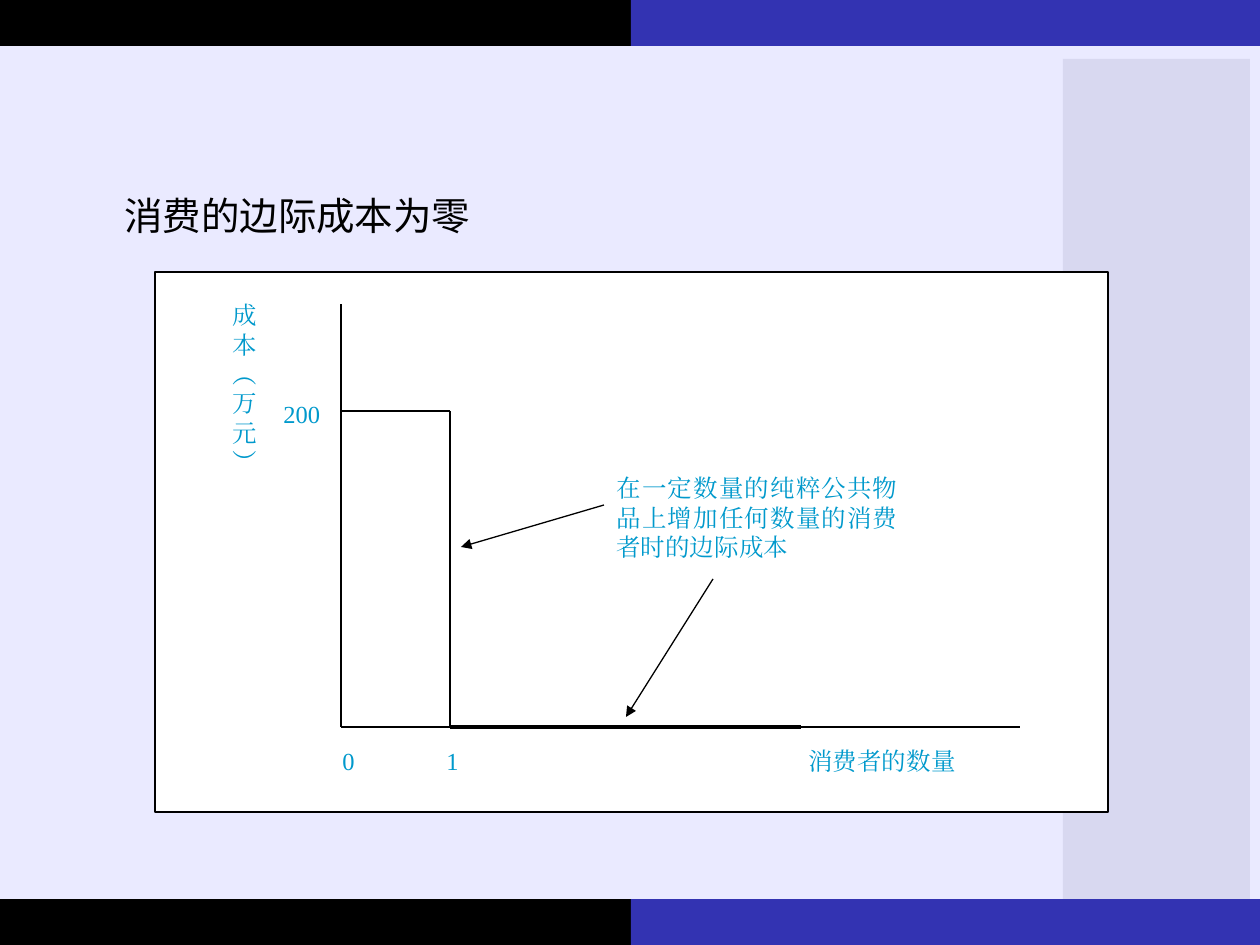
"""Builds a slide that charts the zero marginal cost of consuming a public good."""
from lxml import etree
from pptx import Presentation
from pptx.dml.color import RGBColor
from pptx.enum.shapes import MSO_CONNECTOR, MSO_SHAPE
from pptx.enum.text import PP_ALIGN
from pptx.oxml.ns import qn
from pptx.util import Emu, Pt

RECTANGLE = MSO_SHAPE.RECTANGLE
STRAIGHT = MSO_CONNECTOR.STRAIGHT
LEFT, JUSTIFY = PP_ALIGN.LEFT, PP_ALIGN.JUSTIFY

SCALE = 914400 / 126
COLORS = {
    "black": "000000",
    "white": "FFFFFF",
    "blue": "3333B2",
    "lavender": "EAEAFF",
    "stripe": "D8D8F0",
    "label": "0099CC",
}
TITLE_FONT = "Noto Sans CJK SC"
LABEL_FONT = "Times New Roman"


def emu(px):
    return Emu(round(px * SCALE))


def rgb(name):
    return RGBColor.from_string(COLORS[name])


class Canvas:
    def __init__(self, page):
        self.page = page

    def panel(self, x, y, width, height, fill, line=None, group=None):
        shapes = group.shapes if group else self.page.shapes
        box = shapes.add_shape(RECTANGLE, emu(x), emu(y), emu(width), emu(height))
        box.shadow.inherit = False
        box.fill.solid()
        box.fill.fore_color.rgb = rgb(fill)
        if line:
            box.line.color.rgb = rgb(line)
            box.line.width = Pt(0.75)
        else:
            box.line.fill.background()

    def line(self, start, end, width=0.75, arrow=False):
        stroke = self.page.shapes.add_connector(
            STRAIGHT, *(emu(value) for value in (*start, *end)))
        stroke.line.color.rgb = rgb("black")
        stroke.line.width = Pt(width)
        if arrow:
            etree.SubElement(stroke.line._get_or_add_ln(), qn("a:tailEnd"), type="triangle")
        etree.SubElement(stroke._element.spPr, qn("a:effectLst"))

    def text(self, x, y, width, height, runs, size=14, font=LABEL_FONT,
             color="label", align=JUSTIFY, stops=()):
        box = self.page.shapes.add_textbox(emu(x), emu(y), emu(width), emu(height))
        box.text_frame.word_wrap = True
        para = box.text_frame.paragraphs[0]
        para.alignment = align
        if stops:
            tabs = etree.SubElement(para._p.get_or_add_pPr(), qn("a:tabLst"))
            for stop in stops:
                etree.SubElement(tabs, qn("a:tab"), pos=str(emu(stop)), algn="l")
        for words in runs:
            span = para.add_run()
            span.text = words
            span.font.size = Pt(size)
            span.font.name = font
            span.font.color.rgb = rgb(color)
            etree.SubElement(span._r.get_or_add_rPr(), qn("a:ea"), typeface=font)


def draw_background(canvas):
    width, height, bar, middle = 1260, 945, 46, 631
    group = canvas.page.shapes.add_group_shape()
    canvas.panel(0, bar, width, height - 2 * bar, "lavender", group=group)
    canvas.panel(1063, 59, 187, height - bar - 59, "stripe", group=group)
    for top in (0, height - bar):
        canvas.panel(0, top, middle, bar, "black", group=group)
        canvas.panel(middle, top, width - middle, bar, "blue", group=group)


def draw_chart(canvas):
    origin_x, base, one_x, cost_y = 341, 727, 450, 411
    canvas.panel(155, 272, 953, 540, "white", line="black")
    canvas.line((origin_x, base), (1020, base))
    canvas.line((origin_x, base), (origin_x, 304))
    canvas.text(220, 294, 54, 190, ["成本︵万元︶"])
    canvas.line((origin_x, cost_y), (one_x, cost_y))
    canvas.line((one_x, cost_y), (one_x, base))
    canvas.line((one_x, base), (801, base), width=2.25)
    canvas.text(604, 467, 306, 93, ["在一定数量的纯粹公共物品上增加任何数量的消费者时的边际成本"])
    canvas.line((713, 579), (626, 717), arrow=True)
    canvas.line((604, 505), (461, 547), arrow=True)
    canvas.text(271, 393, 81, 39, ["200"])
    canvas.text(330, 740, 777, 72, ["0", "\t1", "\t消费者的数量"], stops=(104, 466))


def main():
    deck = Presentation()
    deck.slide_width, deck.slide_height = emu(1260), emu(945)
    page = deck.slides.add_slide(deck.slide_layouts[6])
    canvas = Canvas(page)
    draw_background(canvas)
    draw_chart(canvas)
    canvas.text(112, 186, 1029, 561, ["消费的边际成本为零"], size=22,
                font=TITLE_FONT, color="black", align=LEFT)
    deck.save("out.pptx")


if __name__ == "__main__":
    main()
